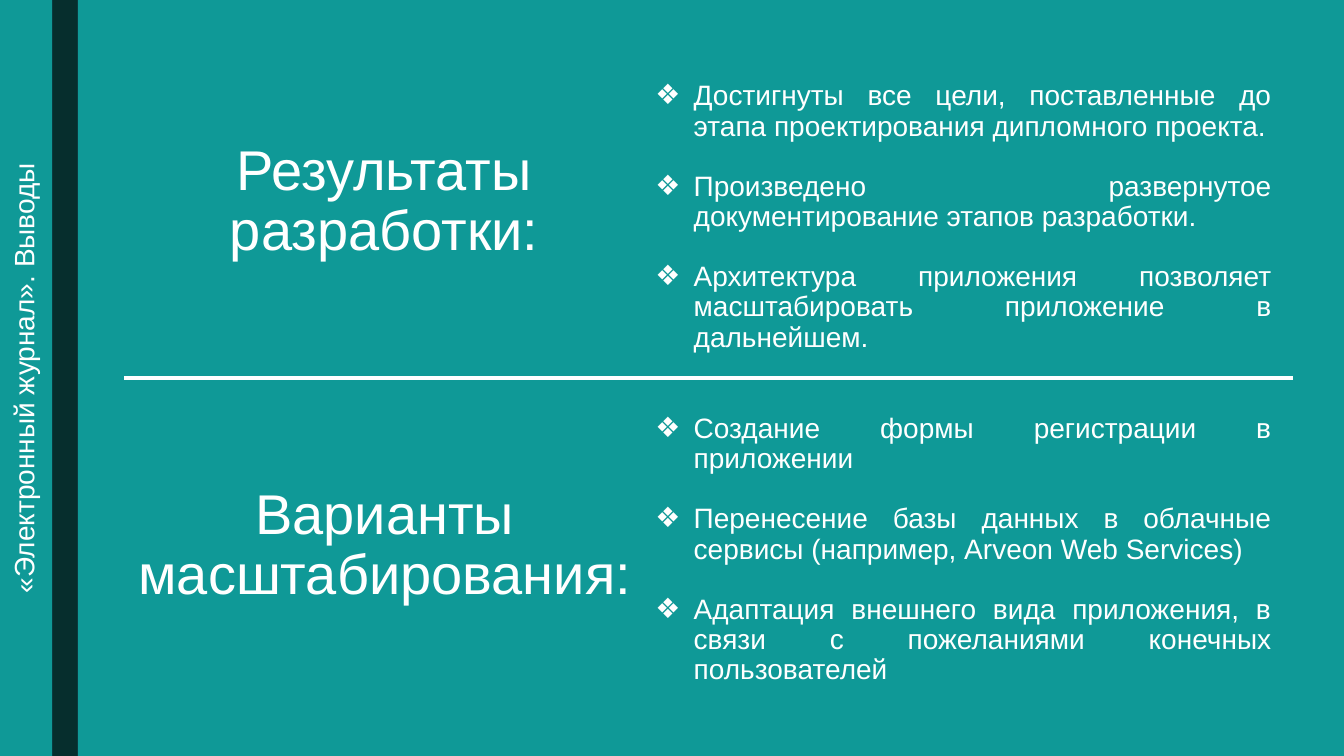
"""Build the conclusions slide with two headed bullet lists."""
from dataclasses import dataclass

from lxml.etree import SubElement
from pptx import Presentation
from pptx.dml.color import RGBColor
from pptx.enum.shapes import MSO_CONNECTOR, MSO_SHAPE
from pptx.enum.text import MSO_ANCHOR, MSO_AUTO_SIZE, PP_ALIGN
from pptx.oxml.ns import qn
from pptx.shapes.placeholder import SlidePlaceholder
from pptx.slide import Slide
from pptx.text.text import _Paragraph
from pptx.util import Emu, Pt


@dataclass(frozen=True)
class Theme:
    background: RGBColor = RGBColor(0x0F, 0x99, 0x97)
    band_base: RGBColor = RGBColor(0x1A, 0x2E, 0x40)
    band_tint: RGBColor = RGBColor(0x05, 0x2E, 0x2D)
    text: RGBColor = RGBColor(0xFF, 0xFF, 0xFF)
    font: str = "Arial"
    body_size: int = 20
    heading_size: int = 40
    line_spacing: float = 0.9
    item_gap: float = 21.4
    divider_width: int = 3


@dataclass(frozen=True)
class Box:
    left: int
    top: int
    width: int
    height: int


@dataclass(frozen=True)
class TextBlock:
    placeholder: int
    box: Box
    lines: tuple[str, ...]
    size: int
    bulleted: bool = False
    rotation: int = 0


THEME = Theme()
EMU_PER_PX = 9144
SLIDE_WIDTH, SLIDE_HEIGHT = 1333, 750
BAND = Box(52, 0, 25, SLIDE_HEIGHT)
DIVIDER_LEFT, DIVIDER_RIGHT = 123, 1282
LIST_LEFT, LIST_WIDTH = 640, 631
BULLET_INDENT = 38

BLOCKS = (
    TextBlock(0, Box(-344, 349, 750, 52), ("«Электронный журнал». Выводы",),
              THEME.body_size, rotation=270),
    TextBlock(1, Box(199, 136, 364, 148), ("Результаты разработки:",), THEME.heading_size),
    TextBlock(2, Box(LIST_LEFT, 76, LIST_WIDTH, 269), (
        "Достигнуты все цели, поставленные до этапа проектирования дипломного проекта.",
        "Произведено развернутое документирование этапов разработки.",
        "Архитектура приложения позволяет масштабировать приложение в дальнейшем.",
    ), THEME.body_size, bulleted=True),
    TextBlock(3, Box(123, 477, 517, 148), ("Варианты масштабирования:",), THEME.heading_size),
    TextBlock(4, Box(LIST_LEFT, 406, LIST_WIDTH, 298), (
        "Создание формы регистрации в приложении",
        "Перенесение базы данных в облачные сервисы (например, Arveon Web Services)",
        "Адаптация внешнего вида приложения, в связи с пожеланиями конечных пользователей",
    ), THEME.body_size, bulleted=True),
)


def px(length: int) -> Emu:
    """Convert px to EMU."""
    return Emu(length * EMU_PER_PX)


def place(placeholder: SlidePlaceholder, box: Box) -> None:
    """Move a placeholder to its box."""
    placeholder.left, placeholder.top = px(box.left), px(box.top)
    placeholder.width, placeholder.height = px(box.width), px(box.height)


def add_bullet(paragraph: _Paragraph) -> None:
    """Give a paragraph a diamond bullet with a hanging indent."""
    properties = paragraph._p.get_or_add_pPr()
    properties.set("marL", str(px(BULLET_INDENT)))
    properties.set("indent", str(px(-BULLET_INDENT)))
    SubElement(properties, qn("a:buFont"), typeface=THEME.font)
    SubElement(properties, qn("a:buChar"), char="❖")


def fill_block(slide: Slide, block: TextBlock) -> None:
    """Fill and format one placeholder."""
    placeholder = slide.placeholders[block.placeholder]
    place(placeholder, block.box)
    placeholder.rotation = block.rotation
    frame = placeholder.text_frame
    frame.word_wrap = True
    frame.auto_size = MSO_AUTO_SIZE.NONE
    frame.vertical_anchor = MSO_ANCHOR.TOP
    frame.text = "\n".join(block.lines)
    for position, paragraph in enumerate(frame.paragraphs):
        if block.bulleted:
            add_bullet(paragraph)
        paragraph.alignment = PP_ALIGN.JUSTIFY if block.bulleted else PP_ALIGN.CENTER
        paragraph.line_spacing = THEME.line_spacing
        paragraph.space_before = Pt(THEME.item_gap if position else 0)
        paragraph.font.name = THEME.font
        paragraph.font.size = Pt(block.size)
        paragraph.font.bold = False
        paragraph.font.color.rgb = THEME.text


def add_band(slide: Slide, color: RGBColor, opacity: int) -> None:
    """Draw one layer of the vertical band."""
    band = slide.shapes.add_shape(MSO_SHAPE.RECTANGLE, px(BAND.left), px(BAND.top),
                                  px(BAND.width), px(BAND.height))
    band.shadow.inherit = False
    band.line.fill.background()
    band.fill.solid()
    band.fill.fore_color.rgb = color
    if opacity < 100:
        tint = band._element.spPr.find(qn("a:solidFill")).find(qn("a:srgbClr"))
        SubElement(tint, qn("a:alpha"), val=str(opacity * 1000))


def add_divider(slide: Slide) -> None:
    """Draw the line between the two sections."""
    middle = px(SLIDE_HEIGHT // 2)
    divider = slide.shapes.add_connector(MSO_CONNECTOR.STRAIGHT, px(DIVIDER_RIGHT), middle,
                                         px(DIVIDER_LEFT), middle)
    divider.line.color.rgb = THEME.text
    divider.line.width = Pt(THEME.divider_width)
    SubElement(divider._element.spPr, qn("a:effectLst"))


def main() -> None:
    """Build and save the presentation."""
    presentation = Presentation()
    presentation.slide_width, presentation.slide_height = px(SLIDE_WIDTH), px(SLIDE_HEIGHT)
    slide = presentation.slides.add_slide(presentation.slide_layouts.get_by_name("Comparison"))
    slide.background.fill.solid()
    slide.background.fill.fore_color.rgb = THEME.background
    for color, opacity in ((THEME.band_base, 100), (THEME.band_tint, 95)):
        add_band(slide, color, opacity)
    for block in BLOCKS:
        fill_block(slide, block)
    add_divider(slide)
    presentation.save("out.pptx")


if __name__ == "__main__":
    main()
